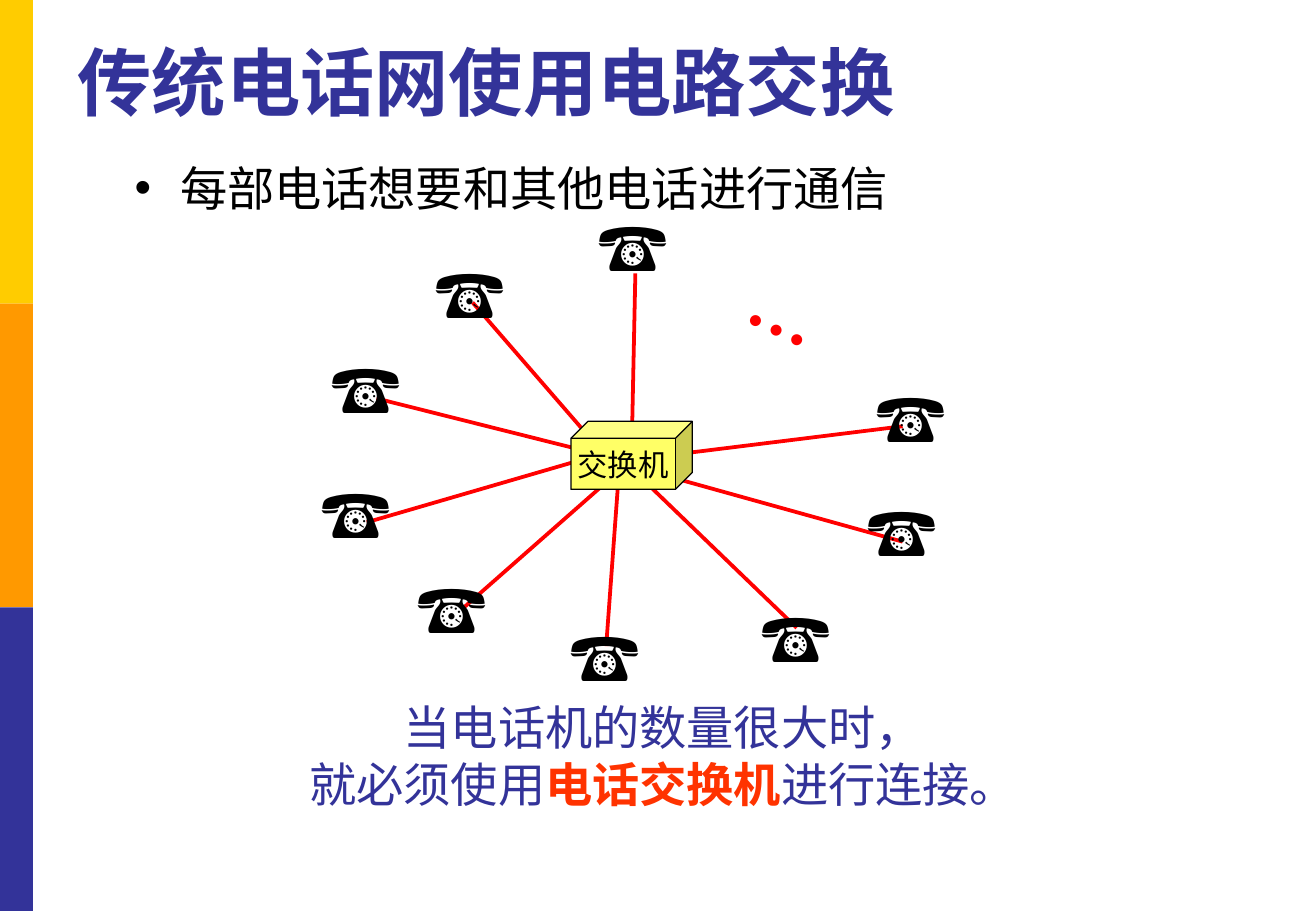
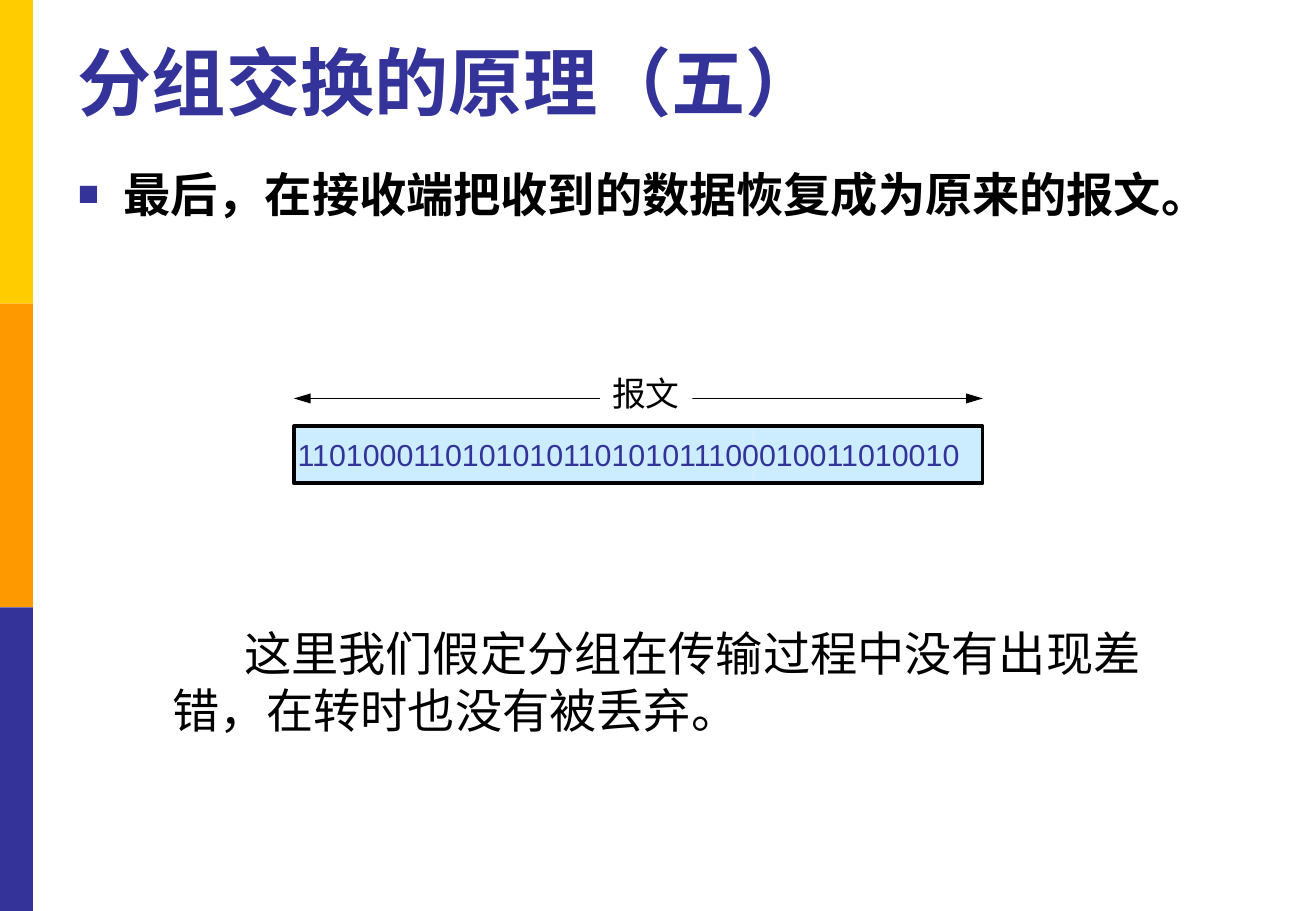
from dataclasses import dataclass

from lxml import etree
from pptx import Presentation
from pptx.dml.color import RGBColor
from pptx.enum.shapes import MSO_CONNECTOR, MSO_SHAPE
from pptx.enum.text import MSO_ANCHOR, PP_ALIGN
from pptx.oxml.ns import qn
from pptx.util import Pt

RECT, CUBE = MSO_SHAPE.RECTANGLE, MSO_SHAPE.CUBE
STRAIGHT = MSO_CONNECTOR.STRAIGHT
TOP, MIDDLE, BOTTOM = MSO_ANCHOR.TOP, MSO_ANCHOR.MIDDLE, MSO_ANCHOR.BOTTOM
LEFT, CENTER = PP_ALIGN.LEFT, PP_ALIGN.CENTER


@dataclass(frozen=True)
class Theme:
    yellow: str = "FFCC00"
    orange: str = "FF9900"
    indigo: str = "333399"
    black: str = "000000"
    white: str = "FFFFFF"
    red: str = "FF0000"
    accent: str = "FF3300"
    cube: str = "FFFF66"
    packet: str = "CCECFF"
    title: int = 44
    symbol: int = 40
    body: int = 28
    label: int = 20
    small: int = 18
    sans: str = "Arial"
    serif: str = "Times New Roman"
    comic: str = "Comic Neue"
    bonum: str = "TeX Gyre Bonum"
    cjk: str = "Noto Sans CJK SC"


T = Theme()


def put_text(s, box, text, shape=RECT, fill=None, line=None, weight=0.75, size=T.body,
             font=T.serif, color=T.black, bold=False, align=LEFT, anchor=TOP,
             wrap=True, margins=(7.2, 3.6), bullet=None, left=0, indent=0, rotation=0):
    x, y, w, h = map(Pt, box)
    if fill or line:
        sp = s.shapes.add_shape(shape, x, y, w, h)
        sp.shadow.inherit = False
        if fill:
            sp.fill.solid()
            sp.fill.fore_color.rgb = RGBColor.from_string(fill)
        else:
            sp.fill.background()
        if line:
            sp.line.color.rgb = RGBColor.from_string(line)
            sp.line.width = Pt(weight)
        else:
            sp.line.fill.background()
    else:
        sp = s.shapes.add_textbox(x, y, w, h)
    sp.rotation = rotation
    tf = sp.text_frame
    tf.word_wrap = wrap
    tf.vertical_anchor = anchor
    tf.margin_left = tf.margin_right = Pt(margins[0])
    tf.margin_top = tf.margin_bottom = Pt(margins[1])
    paragraphs = [[(text, color, bold)]] if isinstance(text, str) else text
    for i, runs in enumerate(paragraphs):
        p = tf.add_paragraph() if i else tf.paragraphs[0]
        p.alignment = align
        pPr = p._p.get_or_add_pPr()
        pPr.set("marL", str(Pt(left)))
        pPr.set("indent", str(Pt(indent)))
        if bullet:
            char, tint, percent = bullet
            clr = etree.SubElement(pPr, qn("a:buClr"))
            etree.SubElement(clr, qn("a:srgbClr"), val=tint)
            etree.SubElement(pPr, qn("a:buSzPct"), val=str(percent * 1000))
            etree.SubElement(pPr, qn("a:buFont"), typeface=T.sans)
            etree.SubElement(pPr, qn("a:buChar"), char=char)
        for words, tint, strong in runs:
            r = p.add_run()
            r.text = words
            r.font.size = Pt(size)
            r.font.name = font
            r.font.bold = strong
            r.font.color.rgb = RGBColor.from_string(tint)
    return sp


def put_line(s, start, end, color, weight, arrows=False):
    c = s.shapes.add_connector(STRAIGHT, *map(Pt, (*start, *end)))
    c.line.color.rgb = RGBColor.from_string(color)
    c.line.width = Pt(weight)
    if arrows:
        ln = c.line._get_or_add_ln()
        for tag in ("a:headEnd", "a:tailEnd"):
            etree.SubElement(ln, qn(tag), type="triangle", w="med", len="lg")
    etree.SubElement(c._element.spPr, qn("a:effectLst"))


prs = Presentation()
prs.slide_width, prs.slide_height = Pt(780), Pt(540)
slides = []
for title in ("传统电话网使用电路交换", "分组交换的原理（五）"):
    s = prs.slides.add_slide(prs.slide_layouts[6])
    for i, color in enumerate((T.yellow, T.orange, T.indigo)):
        put_text(s, (0, 180 * i, 19.5, 180), "", fill=color)
    put_text(s, (39, 15, 713.5, 63), title, size=T.title, font=T.sans,
             color=T.indigo, bold=True, anchor=BOTTOM)
    slides.append(s)
circuit, packet = slides

spokes = [
    ((389.5, 270.7), (535, 252.7)), ((377.3, 277.2), (535, 321.1)),
    ((367.2, 275), (359.3, 383)), ((370.8, 275.8), (274.3, 360.7)),
    ((353.5, 270), (217.4, 309.6)), ((355, 265.7), (280.1, 179.3)),
    ((374.4, 267.1), (376.6, 162)), ((357.8, 270), (223.2, 236.2)),
    ((371.5, 275), (472.3, 372.2)),
]
for hub, phone in spokes:
    put_line(circuit, hub, phone, T.red, 2.25)

phones = [(347.8, 117.4), (189.4, 201.6), (240.5, 331.9), (512.6, 218.9), (183.6, 275.8),
          (251.3, 145.4), (331.2, 360.7), (506.9, 286.6), (444.2, 349.2)]
for x, y in phones:
    put_text(circuit, (x, y, 67.7, 55.4), "☎", size=T.symbol)
put_text(circuit, (438.5, 156.2, 54.7, 55.4), "…", size=T.symbol, color=T.red,
         bold=True, rotation=24.9)
put_text(circuit, (338.4, 249.8, 72, 40.3), "交换机", shape=CUBE, fill=T.cube,
         line=T.black, size=T.small, align=CENTER, anchor=MIDDLE, wrap=False, margins=(0, 0))
put_text(circuit, (72.7, 90.7, 612, 380.9), "每部电话想要和其他电话进行通信",
         font=T.comic, bullet=("•", T.black, 100), left=27, indent=-27)
put_text(circuit, (175.7, 410.4, 434.9, 74.2),
         [[("当电话机的数量很大时，", T.indigo, False)],
          [("就必须使用", T.indigo, False), ("电话交换机", T.accent, True),
           ("进行连接。", T.indigo, False)]],
         font=T.bonum, align=CENTER, wrap=False)

put_text(packet, (39, 94.3, 713.5, 388.8), "最后，在接收端把收到的数据恢复成为原来的报文。",
         font=T.cjk, bold=True, bullet=("■", T.indigo, 75), left=27, indent=-27)
put_line(packet, (174.2, 236.2), (582.5, 236.2), T.black, 0.75, arrows=True)
put_text(packet, (355.7, 217.4, 54.7, 31), "报文", fill=T.white, size=T.label, wrap=False)
for i in range(3):
    put_text(packet, (174.6 + 136 * i, 252.7, 136, 33.8), "", fill=T.packet)
put_text(packet, (174.2, 252.7, 408.2, 33.8), "1101000110101010110101011100010011010010",
         line=T.black, weight=2.25, size=T.small, font=T.sans, color=T.indigo,
         anchor=MIDDLE, margins=(2.2, 0))
put_text(packet, (95, 366.5, 612, 75.6), "这里我们假定分组在传输过程中没有出现差错，在转时也没有被丢弃。",
         font=T.cjk, indent=42.7)

prs.save("out.pptx")
